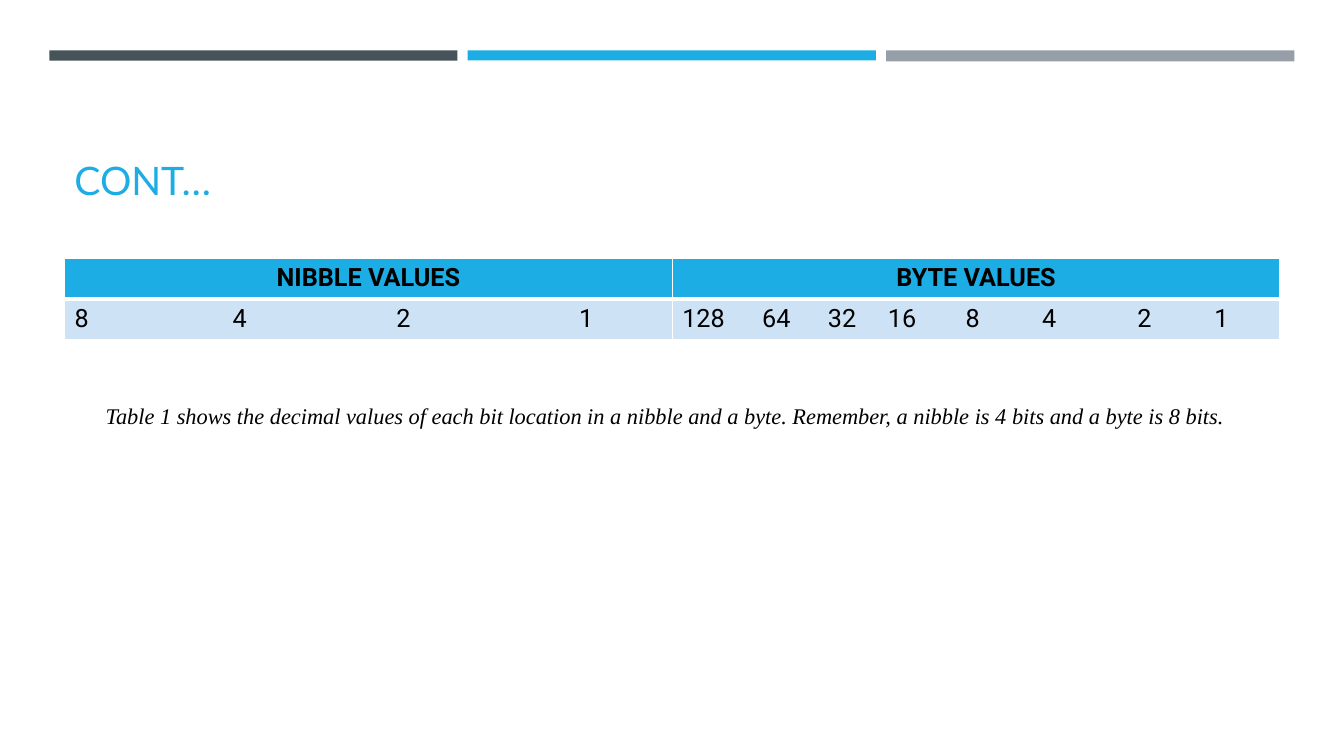
from pptx import Presentation
from pptx.dml.color import RGBColor
from pptx.enum.shapes import MSO_SHAPE
from pptx.enum.text import MSO_ANCHOR, PP_ALIGN
from pptx.oxml import parse_xml
from pptx.oxml.ns import nsdecls
from pptx.util import Pt


def paint(color, hue):
    color.rgb = RGBColor.from_string(hue)


def write(para, text, face, size, hue, bold=False, slant=False):
    run = para.add_run()
    run.text = text
    font = run.font
    font.name, font.size = face, Pt(size)
    font.bold, font.italic = bold, slant
    paint(font.color, hue)


deck = Presentation()
deck.slide_width, deck.slide_height = Pt(960), Pt(540)
slide = deck.slides.add_slide(deck.slide_layouts[6])
shapes = slide.shapes

# Three bars along the top
for i, (hue, high) in enumerate([("465359", 7.4), ("1CADE4", 7.2), ("969FA7", 7.9)]):
    bar = shapes.add_shape(MSO_SHAPE.RECTANGLE, Pt(35.2 + 298.9 * i), Pt(36),
                           Pt(291.6), Pt(high))
    bar.shadow.inherit = False
    bar.fill.solid()
    paint(bar.fill.fore_color, hue)
    bar.line.fill.background()

# Title
title = shapes.add_textbox(Pt(46.1), Pt(55.4), Pt(868.3), Pt(93.6)).text_frame
title.word_wrap = True
title.vertical_anchor = MSO_ANCHOR.BOTTOM
write(title.paragraphs[0], "CONT…", "Lato", 28, "1CADE4")

# Table of bit values, each list spaced out by its own tab stops
heads = ["NIBBLE VALUES", "BYTE VALUES"]
bits = [["8", "4", "2", "1"], ["128", "64", "32", "16", "8", "4", "2", "1"]]
stops = [[112.8, 229.8, 360.4], [57, 104, 146.8, 202.4, 257, 325, 380]]
table = shapes.add_table(2, 2, Pt(46.1), Pt(184.5), Pt(868.2), Pt(58.4)).table
for row in table.rows:
    row.height = Pt(29.2)
for col, (head, vals, tabs) in enumerate(zip(heads, bits, stops)):
    top, low = table.cell(0, col), table.cell(1, col)
    para = top.text_frame.paragraphs[0]
    para.alignment = PP_ALIGN.CENTER
    write(para, head, "Roboto", 18, "000000", bold=True)
    para = low.text_frame.paragraphs[0]
    marks = "".join(f'<a:tab pos="{Pt(x)}" algn="l"/>' for x in tabs)
    para._p.get_or_add_pPr().append(
        parse_xml(f'<a:tabLst {nsdecls("a")}>{marks}</a:tabLst>'))
    write(para, "\t".join(vals), "Roboto", 18, "000000")

    # White rules, with a thick one under the head
    for cell, hue, sides in [(top, "1CADE4", {"L": 1, "R": 1, "T": 1, "B": 3}),
                             (low, "CDE3F5", {"L": 1, "R": 1, "T": 3, "B": 1})]:
        props = cell._tc.get_or_add_tcPr()
        for side, wide in sides.items():
            props.append(parse_xml(
                f'<a:ln{side} {nsdecls("a")} w="{Pt(wide)}"><a:solidFill>'
                f'<a:srgbClr val="FFFFFF"/></a:solidFill></a:ln{side}>'))
        cell.fill.solid()
        paint(cell.fill.fore_color, hue)

# Caption
note = shapes.add_textbox(Pt(68.4), Pt(283.7), Pt(918), Pt(26.6)).text_frame
note.word_wrap = True
write(note.paragraphs[0],
      "Table 1 shows the decimal values of each bit location in a nibble and a byte. "
      "Remember, a nibble is 4 bits and a byte is 8 bits.",
      "Times New Roman", 16, "000000", slant=True)

deck.save("out.pptx")
